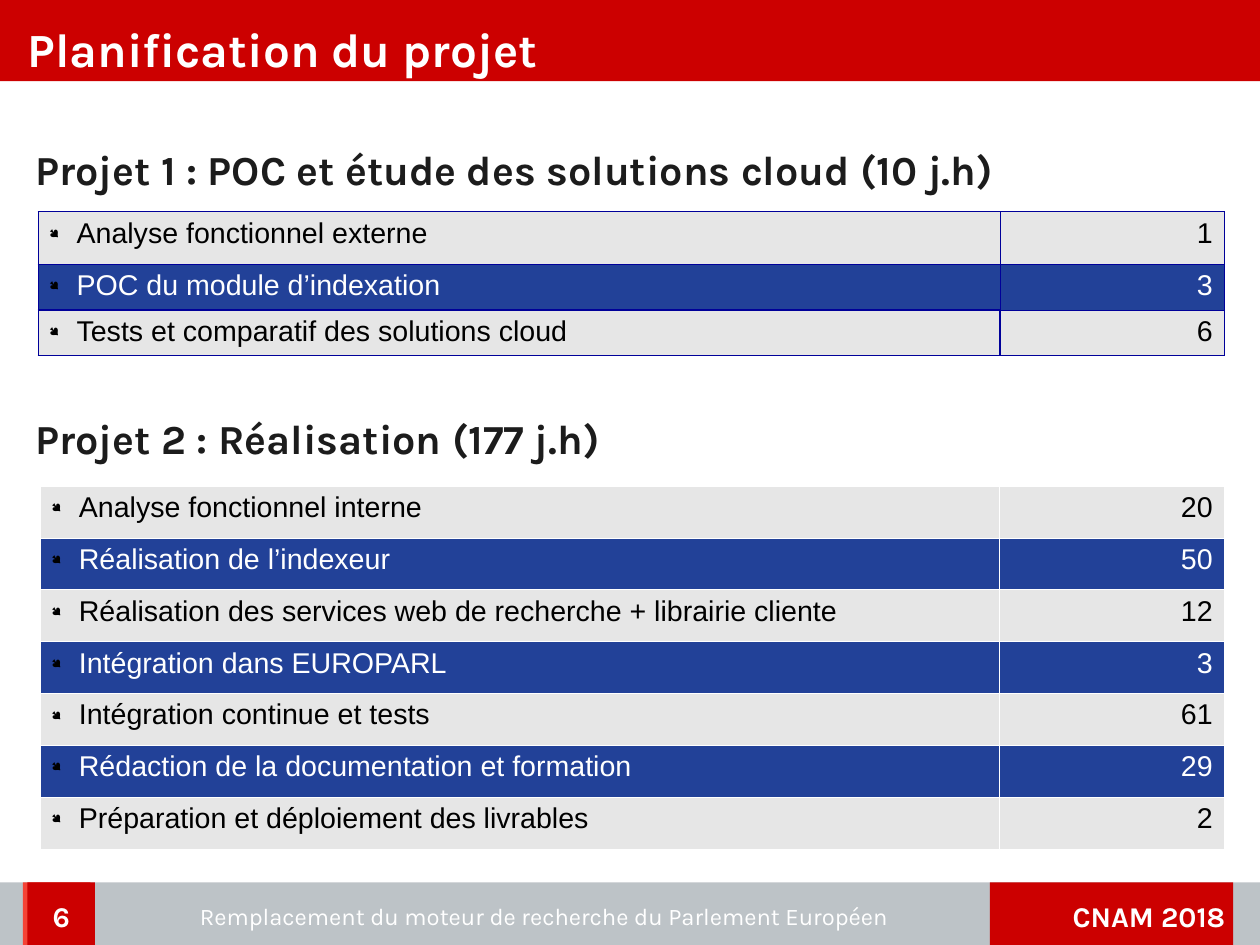
from dataclasses import dataclass, field

from lxml import etree
from pptx import Presentation
from pptx import util as u
from pptx.dml import color as dye
from pptx.enum import shapes, text
from pptx.oxml import ns

HUES = {
    "red": "CC0000", "coral": "F44336", "grey": "BDC3C7", "white": "FFFFFF",
    "ink": "1C1C1C", "black": "000000", "pale": "E6E6E6", "blue": "224198",
    "navy": "000099",
}
ALIGN = text.PP_ALIGN
ANCHOR = text.MSO_ANCHOR
HAIR, BOLD = 0.06, 1.13
WIDE, HIGH = 28 / 2.54, 21 / 2.54


@dataclass
class Box:
    left: float
    top: float
    width: float
    height: float


@dataclass
class Label:
    words: str
    size: float
    hue: str = "white"
    bold: bool = True
    align: ALIGN = ALIGN.LEFT
    anchor: ANCHOR = ANCHOR.MIDDLE
    inset: float = 0


@dataclass
class Grid:
    box: Box
    cols: list[float]
    rows: list[float]
    line: str
    tasks: list[tuple[str, int]]
    heavy: dict[tuple[int, int], str] = field(default_factory=dict)
    bare: dict[tuple[int, int], str] = field(default_factory=dict)


def lengths(box: Box) -> list[int]:
    return [u.Inches(n) for n in (box.left, box.top, box.width, box.height)]


def color(hue: str) -> dye.RGBColor:
    return dye.RGBColor.from_string(HUES[hue])


def add_run(para, words: str, face: str, size: float, hue: str, bold: bool) -> None:
    run = para.add_run()
    run.text = words
    run.font.name, run.font.size, run.font.bold = face, u.Pt(size), bold
    run.font.color.rgb = color(hue)


def write(shape, label: Label) -> None:
    frame = shape.text_frame
    frame.word_wrap = True
    frame.margin_left = frame.margin_top = frame.margin_bottom = 0
    frame.margin_right = u.Inches(label.inset)
    frame.vertical_anchor = label.anchor
    para = frame.paragraphs[0]
    para.alignment = label.align
    add_run(para, label.words, "Karla", label.size, label.hue, label.bold)


def add_bar(slide, box: Box, hue: str, label: Label | None = None) -> None:
    bar = slide.shapes.add_shape(shapes.MSO_SHAPE.RECTANGLE, *lengths(box))
    bar.shadow.inherit = False
    bar.fill.solid()
    bar.fill.fore_color.rgb = color(hue)
    bar.line.fill.background()
    if label:
        write(bar, label)


def add_text(slide, box: Box, label: Label) -> None:
    write(slide.shapes.add_textbox(*lengths(box)), label)


def add_dot(para) -> None:
    props = para._p.get_or_add_pPr()
    props.set("marL", str(u.Inches(0.24)))
    props.set("indent", str(-u.Inches(0.24)))
    tint = etree.SubElement(props, ns.qn("a:buClr"))
    etree.SubElement(tint, ns.qn("a:srgbClr"), val=HUES["black"])
    etree.SubElement(props, ns.qn("a:buSzPct"), val="45000")
    etree.SubElement(props, ns.qn("a:buFont"), typeface="Wingdings", charset="2")
    etree.SubElement(props, ns.qn("a:buChar"), char="●")


def add_edges(cell, hue: str, heavy: str, bare: str) -> None:
    props = cell._tc.get_or_add_tcPr()
    sides = [side for side in "LRTB" if side not in bare]
    for spot, side in enumerate(sides):
        width = BOLD if side in heavy else HAIR
        edge = etree.Element(ns.qn(f"a:ln{side}"), w=str(u.Pt(width)))
        fill = etree.SubElement(edge, ns.qn("a:solidFill"))
        etree.SubElement(fill, ns.qn("a:srgbClr"), val=HUES[hue])
        props.insert(spot, edge)


def add_grid(slide, grid: Grid) -> None:
    table = slide.shapes.add_table(
        len(grid.rows), len(grid.cols), *lengths(grid.box)).table
    table.first_row = table.horz_banding = False
    for col, width in zip(table.columns, grid.cols):
        col.width = u.Inches(width)
    for row, height in zip(table.rows, grid.rows):
        row.height = u.Inches(height)
    for r, task in enumerate(grid.tasks):
        back, ink = ("blue", "white") if r % 2 else ("pale", "black")
        for c, value in enumerate(task):
            cell = table.cell(r, c)
            cell.margin_left = cell.margin_right = u.Inches(0.1)
            cell.margin_top = cell.margin_bottom = u.Inches(0.05)
            cell.fill.solid()
            cell.fill.fore_color.rgb = color(back)
            add_edges(cell, grid.line, grid.heavy.get((r, c), ""),
                      grid.bare.get((r, c), ""))
            para = cell.text_frame.paragraphs[0]
            if c == 0:
                add_dot(para)
            else:
                para.alignment = ALIGN.RIGHT
            add_run(para, str(value), "Arial", 18, ink, False)


STUDY = Grid(
    Box(0.33, 1.85, 10.38, 1.26), [8.42, 1.96], [0.46, 0.4, 0.4], "navy",
    [
        ("Analyse fonctionnel externe", 1),
        ("POC du module d’indexation", 3),
        ("Tests et comparatif des solutions cloud", 6),
    ],
    heavy={(2, 0): "RT"},
    bare={(1, 0): "B", (2, 1): "L"},
)
BUILD = Grid(
    Box(0.35, 4.25, 10.36, 3.18), [8.39, 1.97], [3.18 / 7] * 7, "white",
    [
        ("Analyse fonctionnel interne", 20),
        ("Réalisation de l’indexeur", 50),
        ("Réalisation des services web de recherche + librairie cliente", 12),
        ("Intégration dans EUROPARL", 3),
        ("Intégration continue et tests", 61),
        ("Rédaction de la documentation et formation", 29),
        ("Préparation et déploiement des livrables", 2),
    ],
)
HEADS = [
    (1.26, "Projet 1 : POC et étude des solutions cloud (10 j.h)"),
    (3.62, "Projet 2 : Réalisation (177 j.h)"),
]


def main() -> None:
    deck = Presentation()
    deck.slide_width, deck.slide_height = u.Inches(WIDE), u.Inches(HIGH)
    slide = deck.slides.add_slide(deck.slide_layouts[6])

    # Title band
    add_bar(slide, Box(0, 0, WIDE, 0.71), "red")
    add_text(slide, Box(0.24, -0.08, 10.24, 0.75),
             Label("Planification du projet", 30, anchor=ANCHOR.BOTTOM))

    # Project headings and task tables
    for top, words in HEADS:
        add_text(slide, Box(0.31, top, 10.55, 2.36),
                 Label(words, 26, "ink", anchor=ANCHOR.TOP))
    for grid in (STUDY, BUILD):
        add_grid(slide, grid)

    # Footer
    foot, tall = 7.72, 0.59
    add_bar(slide, Box(0, foot, WIDE, tall), "grey")
    add_bar(slide, Box(8.66, foot, 2.13, tall), "red",
            Label("CNAM 2018", 18, align=ALIGN.RIGHT, inset=0.07))
    add_bar(slide, Box(0.2, foot, tall, tall), "coral")
    add_text(slide, Box(0.94, foot, 7.64, tall),
             Label("Remplacement du moteur de recherche du Parlement Européen",
                   15, bold=False, align=ALIGN.CENTER))
    add_bar(slide, Box(0.24, foot, tall, tall), "red",
            Label("6", 18, align=ALIGN.CENTER))

    deck.save("out.pptx")


if __name__ == "__main__":
    main()
